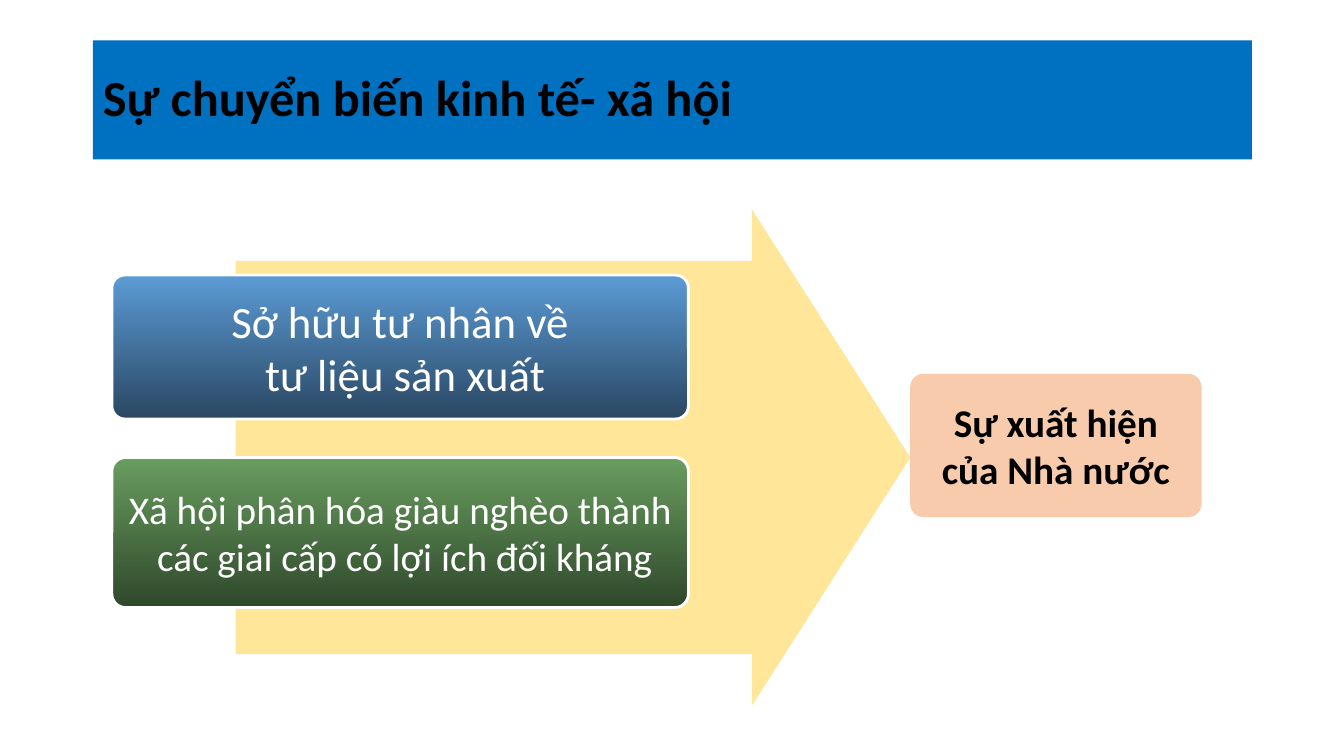
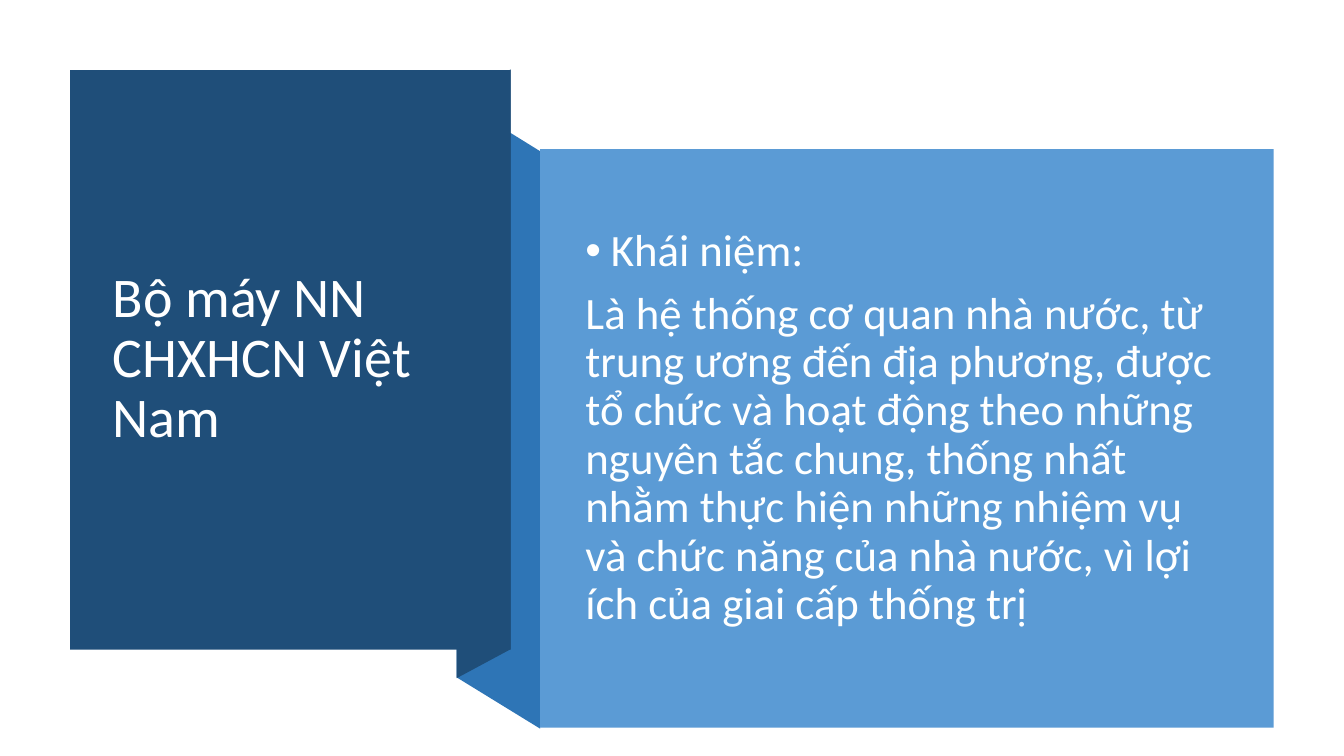
import pptx
import pptx.dml.color
import pptx.enum.shapes
import pptx.enum.text
import pptx.oxml.ns
import pptx.util
from lxml import etree

Cm = pptx.util.Cm
Pt = pptx.util.Pt
SHAPE = pptx.enum.shapes.MSO_SHAPE
ALIGN = pptx.enum.text.PP_ALIGN

COLOURS = {
    "black": "000000", "white": "FFFFFF", "body": "FEFFFF",
    "band": "0070C0", "arrow": "FFE699", "result": "F8CBAD",
    "blue": "5B9BD5", "blue_end": "2A4763",
    "green": "699D5F", "green_end": "2F482B",
    "ribbon": "2E75B6", "panel": "1F4E79",
}
FONT = "Calibri"
CORNER = 0.091

CHANGE_TITLE = "Sự chuyển biến kinh tế- xã hội"
CAUSES = [
    (["Sở hữu tư nhân về", " tư liệu sản xuất"], 32, ("blue", "blue_end"), 6.93, 3.63),
    (["Xã hội phân hóa giàu nghèo thành", " các giai cấp có lợi ích đối kháng"],
     28, ("green", "green_end"), 11.53, 3.78),
]
RESULT = ["Sự xuất hiện của Nhà nước"]

STATE_TITLE = "Bộ máy NN CHXHCN Việt Nam"
DEFINITION = [
    "Khái niệm:",
    "Là hệ thống cơ quan nhà nước, từ trung ương đến địa phương, được tổ chức và hoạt động "
    "theo những nguyên tắc chung, thống nhất nhằm thực hiện những nhiệm vụ và chức năng của "
    "nhà nước, vì lợi ích của giai cấp thống trị",
]
FOLDS = [
    ("ribbon", [(13.61, 18.36), (11.51, 17.07), (11.51, 2.51), (13.61, 3.81)]),
    ("panel", [(12.87, 16.36), (11.51, 17.09), (11.51, 2.49), (12.87, 1.75)]),
]


def rgb(name):
    return pptx.dml.color.RGBColor.from_string(COLOURS[name])


def set_all(target, values):
    for name, value in values.items():
        setattr(target, name, value)


def place(shape, box):
    set_all(shape, dict(zip(("left", "top", "width", "height"), map(Cm, box))))


def paint(shape, colour):
    shape.fill.solid()
    shape.fill.fore_color.rgb = rgb(colour)


def finish(shape, colour):
    shape.shadow.inherit = False
    shape.line.fill.background()
    paint(shape, colour)
    return shape


def add_block(slide, kind, box, colour):
    return finish(slide.shapes.add_shape(kind, *map(Cm, box)), colour)


def write(shape, lines, size, colour, bold=False, wrap=True, bullets=None, **layout):
    frame = shape.text_frame
    set_all(frame, {
        "text": "\n".join(lines),
        "word_wrap": wrap,
        "auto_size": pptx.enum.text.MSO_AUTO_SIZE.NONE,
        "vertical_anchor": pptx.enum.text.MSO_ANCHOR.MIDDLE,
    })
    for index, paragraph in enumerate(frame.paragraphs):
        if bullets:
            add_bullet(paragraph, bullets[index])
        set_all(paragraph, layout)
        if index == 0:
            paragraph.space_before = Pt(0)
        set_all(paragraph.font, {"name": FONT, "size": Pt(size), "bold": bold})
        paragraph.font.color.rgb = rgb(colour)


def add_bullet(paragraph, character):
    properties = paragraph._p.get_or_add_pPr()
    indent = Cm(0.64) if character else 0
    properties.set("marL", str(indent))
    properties.set("indent", str(-indent))
    tag = pptx.oxml.ns.qn("a:buChar" if character else "a:buNone")
    bullet = etree.SubElement(properties, tag)
    if character:
        bullet.set("char", character)


def write_title(slide, text, box, size, colour, bold=False):
    title = slide.shapes.title
    place(title, box)
    write(title, [text], size, colour, bold, alignment=ALIGN.LEFT, line_spacing=0.9)
    return title


def bring_to_front(shape):
    shape.element.getparent().append(shape.element)


def build_change_slide(presentation):
    slide = presentation.slides.add_slide(presentation.slide_layouts[5])
    title = write_title(slide, CHANGE_TITLE, (2.34, 1.02, 29.21, 3), 36, "black", True)
    paint(title, "band")

    arrow = add_block(slide, SHAPE.RIGHT_ARROW, (5.94, 5.28, 17, 12.5), "arrow")
    arrow.adjustments[0] = 0.793
    arrow.adjustments[1] = 0.319

    for lines, size, gradient, top, height in CAUSES:
        cause = add_block(slide, SHAPE.ROUNDED_RECTANGLE, (2.82, top, 14.53, height), gradient[0])
        cause.adjustments[0] = CORNER
        cause.fill.gradient()
        cause.fill.gradient_angle = 270
        for stop, colour in zip(cause.fill.gradient_stops, gradient):
            stop.color.rgb = rgb(colour)
        cause.line.color.rgb = rgb("white")
        cause.line.width = Pt(2)
        write(cause, lines, size, "white", wrap=False, alignment=ALIGN.CENTER)

    result = add_block(slide, SHAPE.ROUNDED_RECTANGLE, (22.94, 9.42, 7.34, 3.61), "result")
    result.adjustments[0] = CORNER
    write(result, RESULT, 28, "black", True, alignment=ALIGN.CENTER)


def build_state_slide(presentation):
    slide = presentation.slides.add_slide(presentation.slide_layouts[1])
    for colour, points in FOLDS:
        corners = [(Cm(x), Cm(y)) for x, y in points]
        builder = slide.shapes.build_freeform(*corners[0])
        builder.add_line_segments(corners[1:], close=True)
        finish(builder.convert_to_shape(), colour)

    add_block(slide, SHAPE.RECTANGLE, (1.77, 1.77, 11.1, 14.6), "panel")
    title = write_title(slide, STATE_TITLE, (2.59, 2.72, 9.42, 12.67), 40, "white")
    bring_to_front(title)

    add_block(slide, SHAPE.RECTANGLE, (13.61, 3.76, 18.49, 14.58), "blue")
    body = slide.placeholders[1]
    place(body, (14.5, 4.78, 16.54, 12.04))
    write(body, DEFINITION, 32, "body", bullets=["•", None],
          alignment=ALIGN.LEFT, line_spacing=0.9, space_before=Pt(10))
    bring_to_front(body)


def main():
    presentation = pptx.Presentation()
    set_all(presentation, {"slide_width": Cm(33.87), "slide_height": Cm(19.05)})
    build_change_slide(presentation)
    build_state_slide(presentation)
    presentation.save("out.pptx")


if __name__ == "__main__":
    main()
